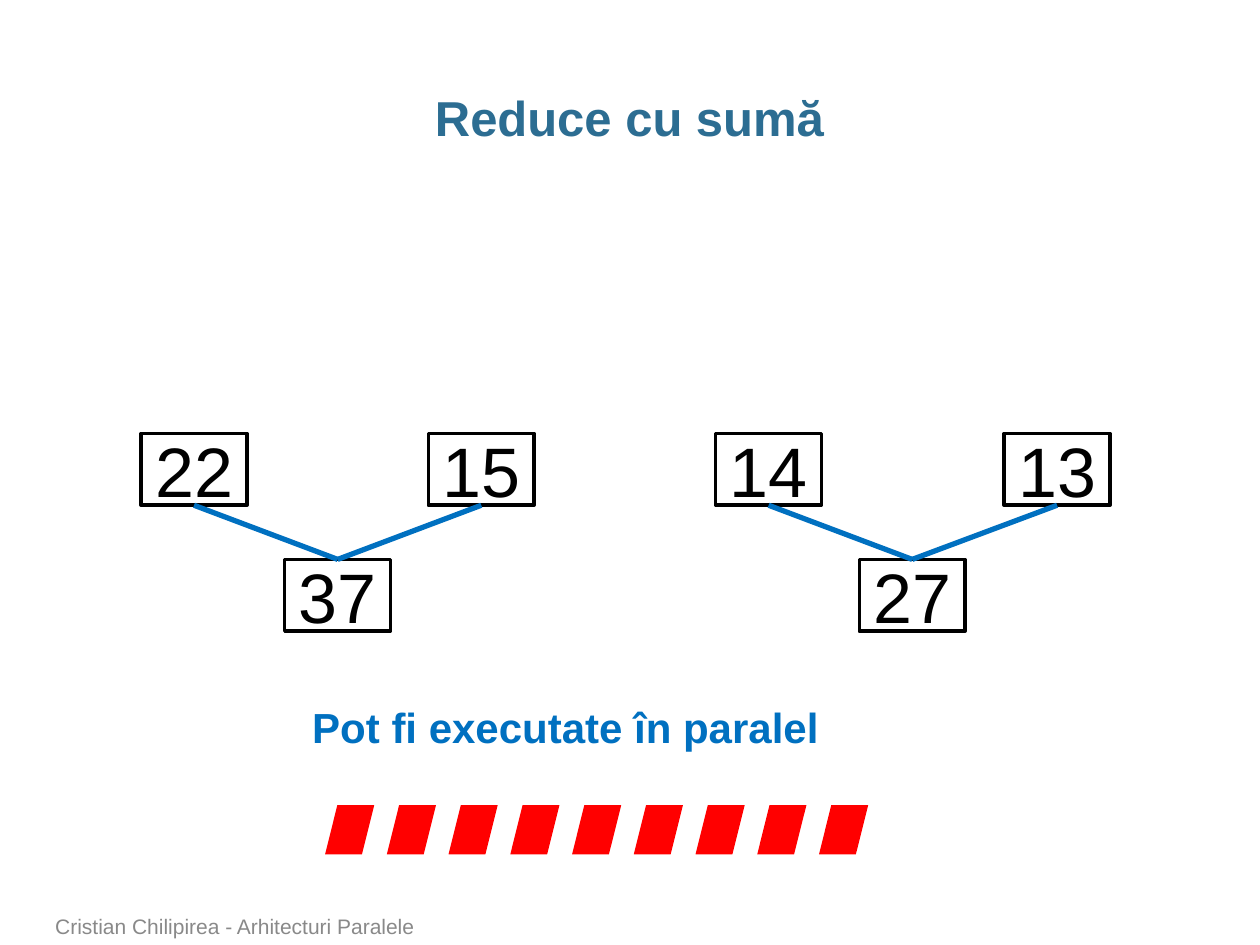
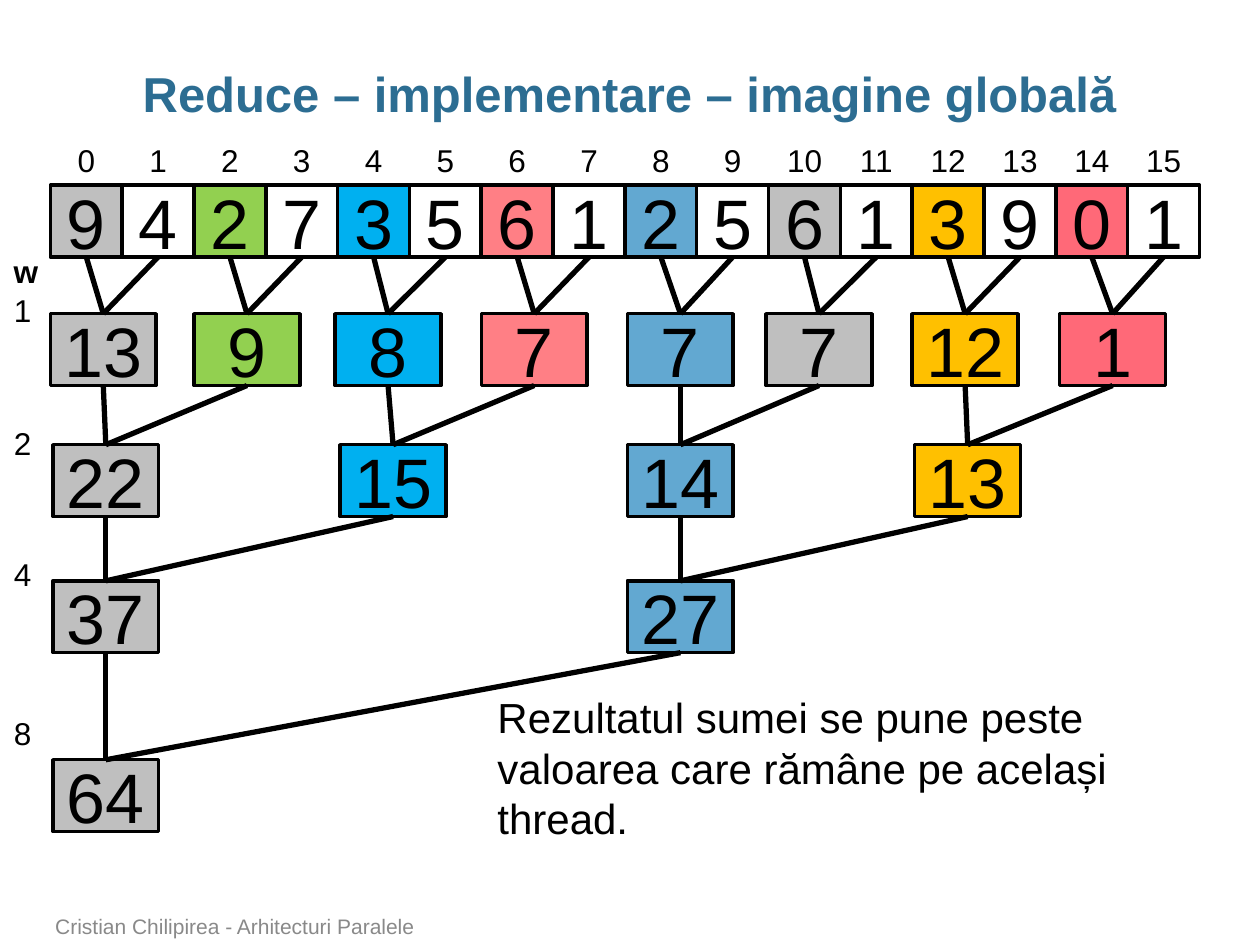
from lxml.etree import SubElement
from pptx import Presentation
from pptx.dml.color import RGBColor
from pptx.enum.shapes import MSO_CONNECTOR, MSO_SHAPE
from pptx.enum.text import MSO_ANCHOR, PP_ALIGN
from pptx.oxml.ns import qn
from pptx.util import Inches, Pt

FOOTER = "Cristian Chilipirea - Arhitecturi Paralele"
BLACK, TITLE_BLUE, BLUE, RED, GREY = "000000", "2C6D92", "0070C0", "FF0000", "898989"

CELL = 0.57
NODE_WIDTH = 0.84

# Each level of a tree: top, node width, left edge of every node
PARTIAL_SUMS = [22, 15, 14, 13]
PARTIAL_LEVELS = [
    (3.44, NODE_WIDTH, [1.12, 3.4, 5.68, 7.97]),
    (4.44, NODE_WIDTH, [2.26, 6.82]),
]
PARALLEL_NOTE = "Pot fi executate în paralel"
STRIPE_COUNT, STRIPE_SIZE, STRIPE_STEP = 9, 0.39, 0.49

NUMBERS = [9, 4, 2, 7, 3, 5, 6, 1, 2, 5, 6, 1, 3, 9, 0, 1]
THREAD_COLOURS = ["BFBFBF", "92D050", "00B0F0", "FF7F85",
                  "62A8D1", "BFBFBF", "FFC000", "FF6978"]
GLOBAL_LEVELS = [
    (1.47, CELL, [0.4 + CELL * i for i in range(len(NUMBERS))]),
    (2.49, NODE_WIDTH, [0.4, 1.54, 2.66, 3.82, 4.98, 6.08, 7.24, 8.41]),
    (3.53, NODE_WIDTH, [0.42, 2.7, 4.98, 7.26]),
    (4.61, NODE_WIDTH, [0.42, 4.98]),
    (6.03, NODE_WIDTH, [0.42]),
]
STEP_LABELS = [("w", 1.95), ("1", 2.26), ("2", 3.32), ("4", 4.36), ("8", 5.62)]
RESULT_NOTE = "Rezultatul sumei se pune peste valoarea care rămâne pe același thread."


def colour(value):
    return RGBColor.from_string(value)


def write(shape, text, size=18, ink=BLACK, bold=False, align=PP_ALIGN.LEFT,
          anchor=MSO_ANCHOR.TOP, wrap=True, spacing=None):
    frame = shape.text_frame
    frame.word_wrap = wrap
    frame.vertical_anchor = anchor
    para = frame.paragraphs[0]
    para.alignment = align
    if spacing:
        para.line_spacing = spacing
    span = para.add_run()
    span.text = text
    span.font.name = "Arial"
    span.font.size = Pt(size)
    span.font.bold = bold
    span.font.color.rgb = colour(ink)


def add_text(page, place, text, **style):
    box = page.shapes.add_textbox(*map(Inches, place))
    write(box, text, **style)
    return box


def add_block(page, kind, place, fill=None, outline=None):
    block = page.shapes.add_shape(kind, *map(Inches, place))
    block.shadow.inherit = False
    if fill:
        block.fill.solid()
        block.fill.fore_color.rgb = colour(fill)
    else:
        block.fill.background()
    if outline:
        block.line.color.rgb = colour(outline)
        block.line.width = Pt(2)
    else:
        block.line.fill.background()
    return block


def add_edge(page, upper, lower, ink):
    """Join the bottom of one node to the top of the next."""
    edge = page.shapes.add_connector(MSO_CONNECTOR.STRAIGHT, 0, 0, 0, 0)
    edge.begin_connect(upper, 2)
    edge.end_connect(lower, 0)
    edge.line.color.rgb = colour(ink)
    edge.line.width = Pt(3)
    SubElement(edge._element.spPr, qn("a:effectLst"))


def draw_reduction(page, values, levels, fills, edge_ink):
    """Draw the levels from top to bottom, adding the values in pairs."""
    previous = []
    for top, width, lefts in levels:
        nodes = []
        for left, value, fill in zip(lefts, values, fills):
            node = add_block(page, MSO_SHAPE.RECTANGLE, (left, top, width, CELL), fill, BLACK)
            write(node, str(value), size=40, align=PP_ALIGN.CENTER, anchor=MSO_ANCHOR.MIDDLE)
            nodes.append(node)
        for index, upper in enumerate(previous):
            add_edge(page, upper, nodes[index // 2], edge_ink)
        previous = nodes
        values = [a + b for a, b in zip(values[::2], values[1::2])]
        fills = fills[::2]


def add_page(deck, title, title_top):
    page = deck.slides.add_slide(deck.slide_layouts[6])
    heading = add_text(page, (0.34, title_top, 9.31, 0.5), title, size=28, ink=TITLE_BLUE,
                       bold=True, align=PP_ALIGN.CENTER, spacing=0.95)
    heading.text_frame.margin_left = heading.text_frame.margin_right = 0
    add_text(page, (0.34, 7.22, 7.37, 0.28), FOOTER, size=12, ink=GREY, anchor=MSO_ANCHOR.BOTTOM)
    return page


def add_sum_page(deck):
    page = add_page(deck, "Reduce cu sumă", 0.68)
    draw_reduction(page, PARTIAL_SUMS, PARTIAL_LEVELS, [None] * len(PARTIAL_SUMS), BLUE)
    add_text(page, (2.38, 5.52, 4.26, 0.5), PARALLEL_NOTE, size=24, ink=BLUE, bold=True, wrap=False)
    for index in range(STRIPE_COUNT):
        place = (2.58 + STRIPE_STEP * index, 6.39, STRIPE_SIZE, STRIPE_SIZE)
        add_block(page, MSO_SHAPE.PARALLELOGRAM, place, RED)


def add_global_page(deck):
    page = add_page(deck, "Reduce – implementare – imagine globală", 0.49)
    fills = [fill for thread in THREAD_COLOURS for fill in (thread, None)]
    draw_reduction(page, NUMBERS, GLOBAL_LEVELS, fills, BLACK)
    add_text(page, (3.85, 5.44, 6.06, 1.72), RESULT_NOTE, size=24)
    for index, left in enumerate(GLOBAL_LEVELS[0][2]):
        width = 0.34 if index < 10 else 0.48
        add_text(page, (left + (CELL - width) / 2, 1.07, width, 0.4), str(index),
                 align=PP_ALIGN.CENTER, wrap=False)
    for label, top in STEP_LABELS:
        add_text(page, (0.01, top, 0.34, 0.4), label, bold=label == "w",
                 align=PP_ALIGN.CENTER, wrap=False)


def main():
    deck = Presentation()
    deck.slide_width, deck.slide_height = Inches(10), Inches(7.5)
    add_sum_page(deck)
    add_global_page(deck)
    deck.save("out.pptx")


if __name__ == "__main__":
    main()
